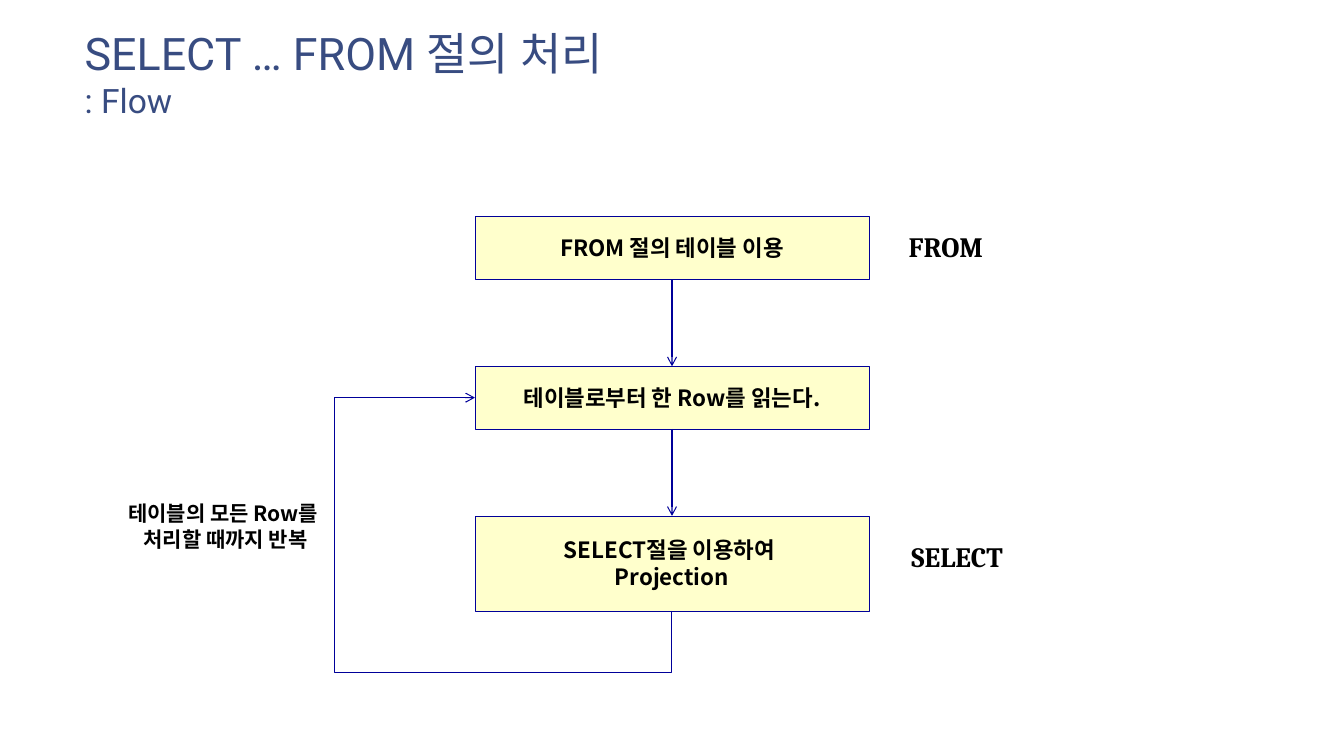
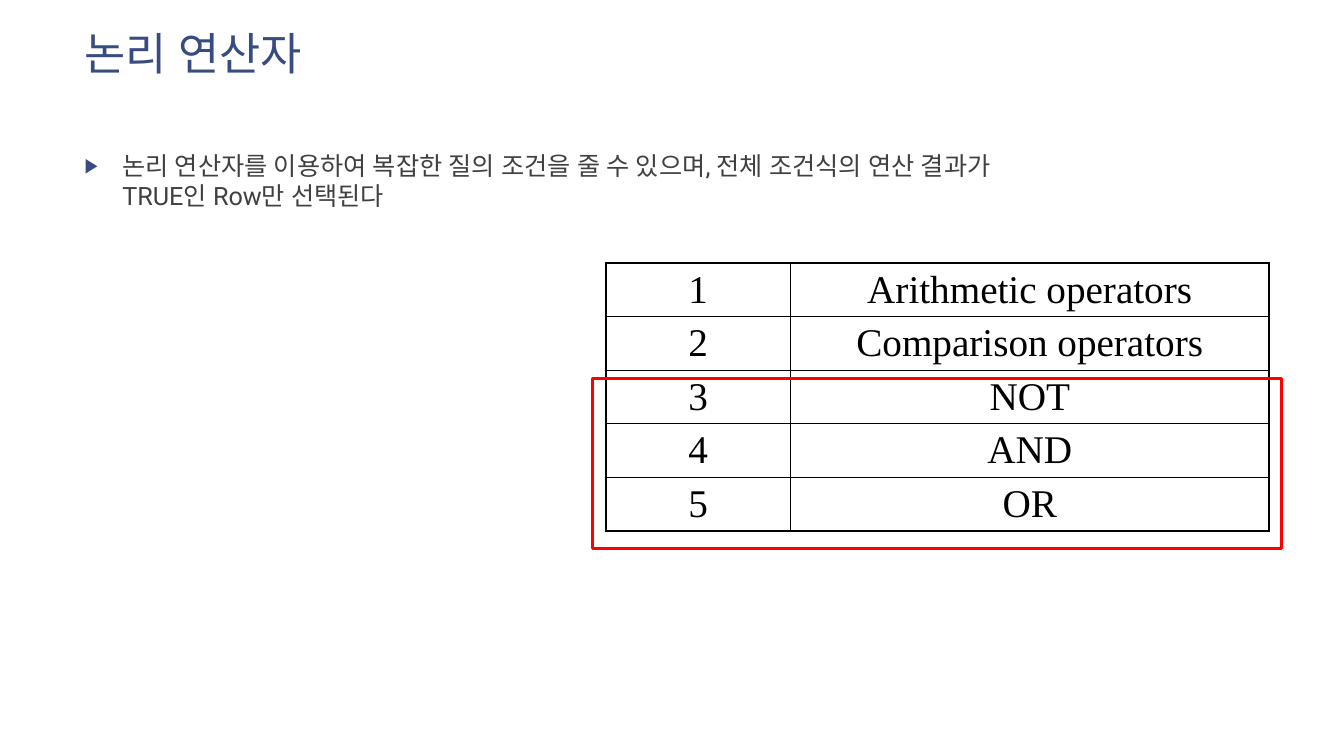
from dataclasses import dataclass

from lxml.etree import SubElement
from pptx import Presentation
from pptx.dml.color import RGBColor
from pptx.enum.shapes import MSO_CONNECTOR, MSO_SHAPE
from pptx.enum.text import MSO_ANCHOR, MSO_AUTO_SIZE, PP_ALIGN
from pptx.oxml.ns import qn
from pptx.util import Cm, Emu, Pt

# Shared look
NAVY, BLUE, CREAM = "384C81", "000099", "FFFFCC"
BLACK, GREY, RED = "000000", "404040", "FF0000"
SANS, KOREAN, SERIF, TIMES = "Roboto", "Noto Sans CJK KR", "Cambria", "Times New Roman"
MARGIN, WIDE = 1.88, 23.88


@dataclass
class Area:
    left: float
    top: float
    width: float
    height: float

    def cm(self) -> tuple:
        return Cm(self.left), Cm(self.top), Cm(self.width), Cm(self.height)


@dataclass
class Type:
    face: str
    size: float
    color: str
    bold: bool = False


@dataclass
class Label:
    area: Area
    lines: list
    type: Type


TITLE = Area(MARGIN, 0.53, WIDE, 3.12)
BODY = Area(MARGIN, 3.66, WIDE, 13.11)
HEAD = Type(SANS, 32, NAVY)
STEP = Type(KOREAN, 16, BLACK, True)
NOTE = Type(KOREAN, 15, BLACK, True)
CLAUSE = Type(SERIF, 20, BLACK, True)


def hue(code: str) -> RGBColor:
    return RGBColor.from_string(code)


def style(para, kind: Type, align=PP_ALIGN.CENTER) -> None:
    para.alignment = align
    font = para.font
    font.size, font.bold = Pt(kind.size), kind.bold
    font.color.rgb = hue(kind.color)
    font.name = kind.face
    props = para._p.get_or_add_pPr().find(qn("a:defRPr"))
    SubElement(props, qn("a:ea"), typeface=kind.face)


def place(shape, area: Area) -> None:
    shape.left, shape.top, shape.width, shape.height = area.cm()
    frame = shape.text_frame
    frame.word_wrap = True
    frame.auto_size = MSO_AUTO_SIZE.NONE
    frame.vertical_anchor = MSO_ANCHOR.TOP


def add_title(slide, text: str, sub: str = "") -> None:
    place(slide.shapes.title, TITLE)
    para = slide.shapes.title.text_frame.paragraphs[0]
    para.add_run().text = text
    if sub:
        para.add_line_break()
        run = para.add_run()
        run.text = sub
        run.font.size = Pt(24)
    style(para, HEAD, PP_ALIGN.LEFT)


def add_box(slide, area: Area, text: str):
    box = slide.shapes.add_shape(MSO_SHAPE.FLOWCHART_PROCESS, *area.cm())
    box.shadow.inherit = False
    box.fill.solid()
    box.fill.fore_color.rgb = hue(CREAM)
    box.line.color.rgb = hue(BLUE)
    box.line.width = Pt(0.25)
    frame = box.text_frame
    frame.word_wrap = False
    frame.vertical_anchor = MSO_ANCHOR.MIDDLE
    frame.margin_left = frame.margin_right = 0
    frame.margin_top = frame.margin_bottom = 0
    frame.text = text
    para = frame.paragraphs[0]
    style(para, STEP)
    return box


def add_label(slide, label: Label) -> None:
    box = slide.shapes.add_textbox(*label.area.cm())
    place(box, label.area)
    box.text_frame.text = "\n".join(label.lines)
    for para in box.text_frame.paragraphs:
        style(para, label.type)


def add_arrow(slide, kind, start, start_site: int, end, end_site: int):
    arrow = slide.shapes.add_connector(kind, 0, 0, 0, 0)
    arrow.begin_connect(start, start_site)
    arrow.end_connect(end, end_site)
    arrow.line.color.rgb = hue(BLUE)
    arrow.line.width = Pt(0.75)
    SubElement(arrow.line._get_or_add_ln(), qn("a:tailEnd"), type="arrow")
    SubElement(arrow._element.spPr, qn("a:effectLst"))
    return arrow


def bend_loop(arrow, drop: int, reach: int) -> None:
    """Route the arrow down by drop, left past the box by reach, then up."""
    wide = arrow.begin_x - arrow.end_x
    tall = arrow.begin_y - arrow.end_y
    mid_x = (arrow.begin_x + arrow.end_x) // 2
    mid_y = (arrow.begin_y + arrow.end_y) // 2
    # The frame is turned by 90 degrees, so its sides swap
    arrow.left, arrow.top = Emu(mid_x - tall // 2), Emu(mid_y - wide // 2)
    arrow.width, arrow.height = Emu(tall), Emu(wide)
    props = arrow._element.spPr
    frame = props.find(qn("a:xfrm"))
    frame.set("rot", "5400000")
    frame.set("flipH", "1")
    frame.set("flipV", "0")
    shape = props.find(qn("a:prstGeom"))
    shape.set("prst", "bentConnector4")
    guides = shape.find(qn("a:avLst"))
    if guides is None:
        guides = SubElement(shape, qn("a:avLst"))
    ratios = (-drop / tall, (wide + reach) / wide)
    for num, ratio in enumerate(ratios, 1):
        SubElement(guides, qn("a:gd"), name=f"adj{num}",
                   fmla=f"val {round(ratio * 100000)}")


def add_bullet(para) -> None:
    props = para._p.get_or_add_pPr()
    props.set("marL", str(Cm(0.95)))
    props.set("indent", str(-Cm(0.95)))
    tint = SubElement(props, qn("a:buClr"))
    SubElement(tint, qn("a:srgbClr"), val=NAVY)
    SubElement(props, qn("a:buSzPct"), val="80000")
    SubElement(props, qn("a:buChar"), char="▶")


def edge(cell, side: str, width: float) -> None:
    line = SubElement(cell._tc.get_or_add_tcPr(), qn(f"a:{side}"), w=str(Pt(width)))
    fill = SubElement(line, qn("a:solidFill"))
    SubElement(fill, qn("a:srgbClr"), val=BLACK)


def add_grid(slide, rows: list, left: float, top: float, widths: list, tall: float) -> None:
    area = Area(left, top, sum(widths), tall * len(rows))
    grid = slide.shapes.add_table(len(rows), len(widths), *area.cm()).table
    grid.first_row = grid.horz_banding = False
    for col, width in zip(grid.columns, widths):
        col.width = Cm(width)
    for y, row in enumerate(rows):
        grid.rows[y].height = Cm(tall)
        for x, text in enumerate(row):
            cell = grid.cell(y, x)
            cell.text = text
            cell.margin_top = cell.margin_bottom = Cm(0.1)
            cell.vertical_anchor = MSO_ANCHOR.MIDDLE
            style(cell.text_frame.paragraphs[0], Type(TIMES, 28, BLACK))
            outer = {"lnL": x == 0, "lnR": x == len(row) - 1,
                     "lnT": y == 0, "lnB": y == len(rows) - 1}
            for side, thick in outer.items():
                edge(cell, side, 2.25 if thick else 1)
            cell.fill.background()


deck = Presentation()
deck.slide_width, deck.slide_height = Cm(33.87), Cm(19.05)

# Slide 1: flow of SELECT ... FROM
flow = deck.slides.add_slide(deck.slide_layouts[5])
add_title(flow, "SELECT … FROM 절의 처리", ": Flow")
STEPS = [("FROM 절의 테이블 이용", 1.58),
         ("테이블로부터 한 Row를 읽는다.", 1.58),
         ("SELECT절을 이용하여 \vProjection", 2.39)]
boxes = [add_box(flow, Area(11.97, 5.46 + 3.77 * num, 9.93, tall), text)
         for num, (text, tall) in enumerate(STEPS)]
for above, below in zip(boxes, boxes[1:]):
    add_arrow(flow, MSO_CONNECTOR.STRAIGHT, above, 2, below, 0)
loop = add_arrow(flow, MSO_CONNECTOR.ELBOW, boxes[2], 2, boxes[1], 1)
bend_loop(loop, Cm(1.56), Cm(3.54))
LABELS = [
    Label(Area(2.51, 12.5, 6.35, 1.52), ["테이블의 모든 Row를 ", "처리할 때까지 반복"], NOTE),
    Label(Area(20.93, 5.66, 5.82, 1.09), ["FROM"], CLAUSE),
    Label(Area(21.21, 13.46, 5.82, 1.09), ["SELECT"], CLAUSE),
]
for label in LABELS:
    add_label(flow, label)

# Slide 2: logical operators
logic = deck.slides.add_slide(deck.slide_layouts[1])
add_title(logic, "논리 연산자")
body = logic.placeholders[1]
place(body, BODY)
body.text_frame.text = ("논리 연산자를 이용하여 복잡한 질의 조건을 줄 수 있으며, "
                        "전체 조건식의 연산 결과가 TRUE인 Row만 선택된다")
point = body.text_frame.paragraphs[0]
point.space_before = Pt(10)
add_bullet(point)
style(point, Type(SANS, 18, GREY), PP_ALIGN.LEFT)

# Precedence table, with the logical rows framed
NAMES = ["Arithmetic operators", "Comparison operators", "NOT", "AND", "OR"]
ranks = [(str(num), name) for num, name in enumerate(NAMES, 1)]
add_grid(logic, ranks, 15.27, 6.63, [4.65, 12.06], 1.35)
mark = logic.shapes.add_shape(MSO_SHAPE.RECTANGLE, *Area(14.94, 9.53, 17.35, 4.29).cm())
mark.shadow.inherit = False
mark.fill.background()
mark.line.color.rgb = hue(RED)
mark.line.width = Pt(2.25)

deck.save("out.pptx")
